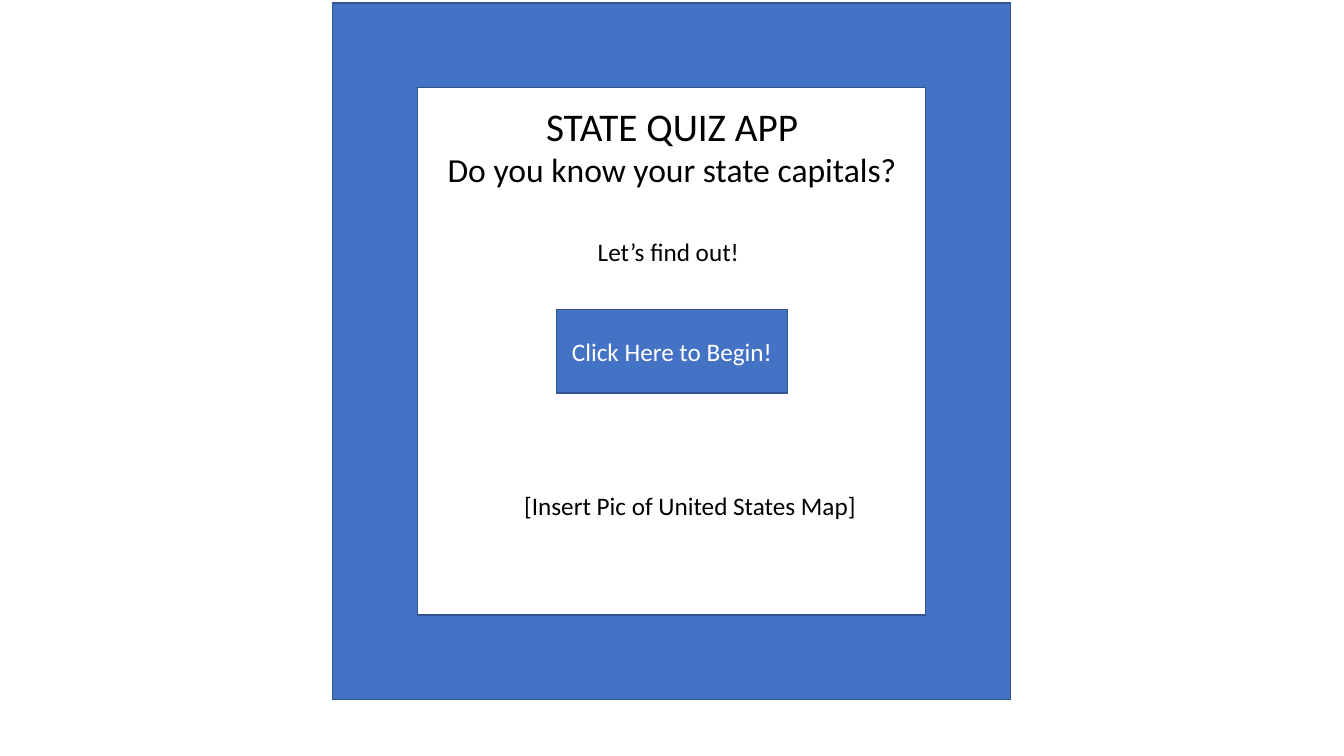
from typing import NamedTuple

from pptx import Presentation
from pptx import util as u
from pptx.dml.color import RGBColor
from pptx.enum import shapes, text

FONT = "Calibri"
BLUE, OUTLINE, BLACK, WHITE = "4472C4", "325491", "000000", "FFFFFF"


class Box(NamedTuple):
    left: float
    top: float
    width: float
    height: float

    def lengths(self) -> list:
        return [u.Inches(value) for value in self]


class Line(NamedTuple):
    wording: str
    size: int = 18


class Label(NamedTuple):
    box: Box
    line: Line


def paint(color_format, color: str) -> None:
    color_format.rgb = RGBColor.from_string(color)


def write(frame, lines: list[Line], color: str, align, anchor, wrap: bool) -> None:
    frame.word_wrap = wrap
    frame.auto_size = text.MSO_AUTO_SIZE.NONE
    frame.vertical_anchor = anchor
    frame.text = "\n".join(line.wording for line in lines)
    for paragraph, line in zip(frame.paragraphs, lines):
        paragraph.alignment = align
        paragraph.font.name = FONT
        paragraph.font.size = u.Pt(line.size)
        paint(paragraph.font.color, color)


def add_blue_shape(slide, kind, box: Box):
    shape = slide.shapes.add_shape(kind, *box.lengths())
    shape.shadow.inherit = False
    shape.fill.solid()
    paint(shape.fill.fore_color, BLUE)
    paint(shape.line.color, OUTLINE)
    shape.line.width = u.Pt(1)
    return shape


def add_label(slide, label: Label) -> None:
    box = slide.shapes.add_textbox(*label.box.lengths())
    write(box.text_frame, [label.line], BLACK, text.PP_ALIGN.LEFT,
          text.MSO_ANCHOR.TOP, wrap=False)


prs = Presentation()
prs.slide_width, prs.slide_height = u.Inches(13.33), u.Inches(7.5)
slide = prs.slides.add_slide(prs.slide_layouts[5])

# Quiz name and question
heading = slide.shapes.title
heading.left, heading.top, heading.width, heading.height = Box(4.32, 0.96, 4.69, 0.98).lengths()
write(heading.text_frame,
      [Line("STATE QUIZ APP", 28), Line("Do you know your state capitals?", 24)],
      BLACK, text.PP_ALIGN.CENTER, text.MSO_ANCHOR.TOP, wrap=False)

# Start button
begin_button = add_blue_shape(slide, shapes.MSO_SHAPE.RECTANGLE, Box(5.52, 3.07, 2.29, 0.83))
write(begin_button.text_frame, [Line("Click Here to Begin!")], WHITE,
      text.PP_ALIGN.CENTER, text.MSO_ANCHOR.MIDDLE, wrap=True)

# Screen border
add_blue_shape(slide, shapes.MSO_SHAPE.FRAME, Box(3.3, 0.03, 6.72, 6.91))

# Invitation and map placeholder
for label in (
    Label(Box(5.83, 2.3, 1.68, 0.4), Line("Let’s find out!")),
    Label(Box(5.1, 4.82, 3.53, 0.4), Line("[Insert Pic of United States Map]")),
):
    add_label(slide, label)

prs.save("out.pptx")
